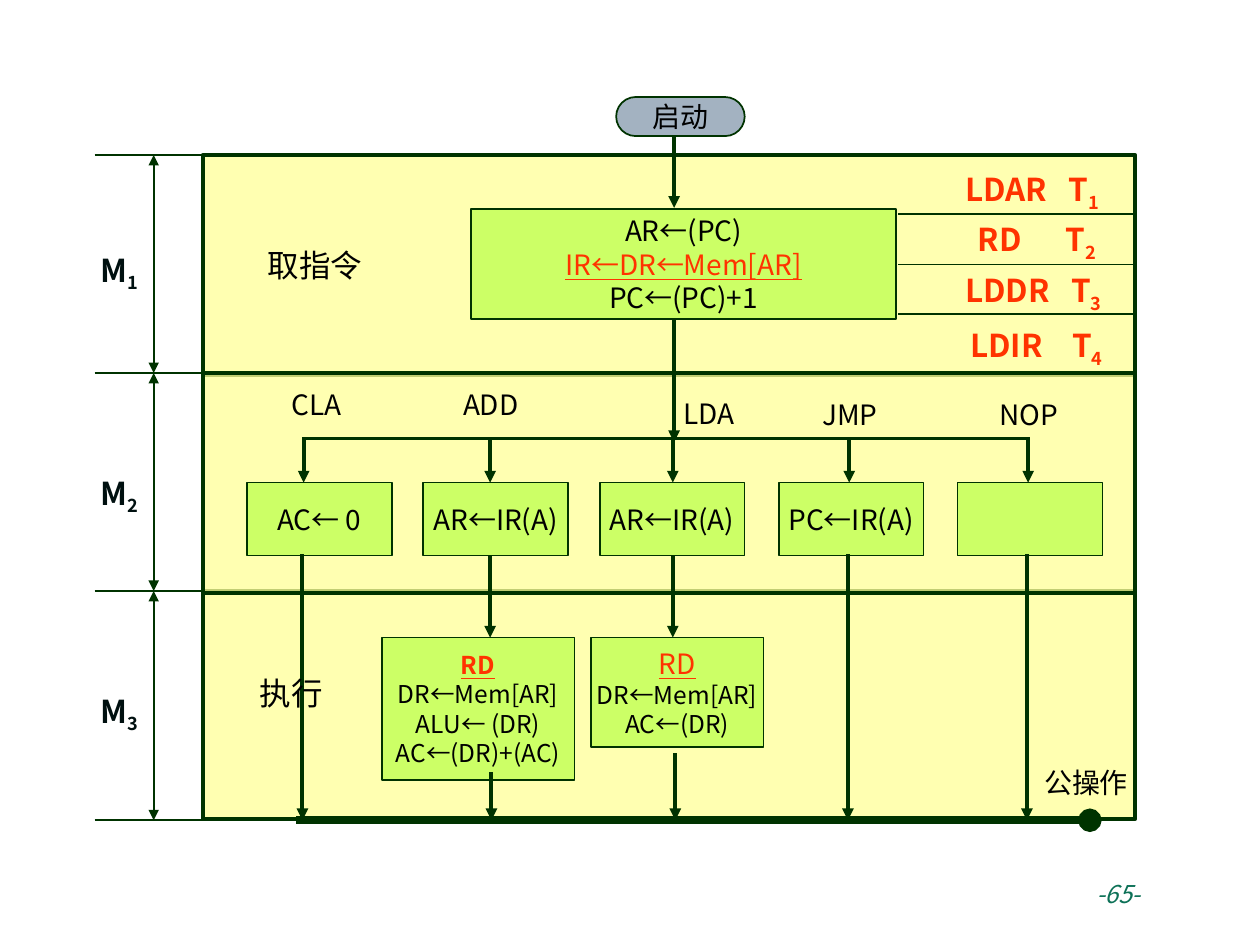
from dataclasses import dataclass

from lxml.etree import SubElement
from pptx import Presentation
from pptx.dml.color import RGBColor
from pptx.enum.shapes import MSO_CONNECTOR as Connector, MSO_SHAPE as Shape
from pptx.enum.text import MSO_ANCHOR as Anchor, MSO_AUTO_SIZE as AutoSize, PP_ALIGN as Align
from pptx.oxml.ns import qn
from pptx.util import Inches, Pt


@dataclass(frozen=True)
class Theme:
    """Colours, type sizes and line widths of the flowchart."""
    font: str = "Noto Sans CJK SC"
    ink: str = "000000"
    cycle: str = "001010"
    signal: str = "FF3300"
    page: str = "0D7157"
    line: str = "003300"
    panel: str = "FFFF99"
    box: str = "CCFF66"
    start: str = "A3B2C1"
    small: int = 14
    normal: int = 16
    large: int = 18
    thin: float = 1
    medium: float = 2.25
    thick: float = 4.5


class FlowSlide:
    """Draws flowchart elements on one slide in one style."""

    def __init__(self, slide, theme):
        self.slide = slide
        self.theme = theme

    def style(self, font, size, color, bold=False, underline=False, italic=False):
        """Set the typeface, size, colour and emphasis of a font."""
        font.name = self.theme.font
        font.size = Pt(size)
        font.color.rgb = RGBColor.from_string(color)
        font.bold, font.underline, font.italic = bold, underline, italic

    def shape(self, kind, left, top, width, height, fill, line_width):
        """Add a filled and outlined preset shape."""
        shape = self.slide.shapes.add_shape(
            kind, Inches(left), Inches(top), Inches(width), Inches(height))
        shape.shadow.inherit = False
        shape.fill.solid()
        shape.fill.fore_color.rgb = RGBColor.from_string(fill)
        shape.line.color.rgb = RGBColor.from_string(self.theme.line)
        shape.line.width = Pt(line_width)
        return shape

    def panel(self, top, height):
        """Add a translucent panel for one machine cycle."""
        shape = self.shape(Shape.RECTANGLE, 1.61, top, 7.4, height,
                           self.theme.panel, self.theme.medium)
        color = shape.fill._xPr.find(".//" + qn("a:srgbClr"))
        SubElement(color, qn("a:alpha"), val="76000")

    def box(self, left, top, width, height, *lines, kind=Shape.RECTANGLE, fill=None):
        """Add a box with centred lines of (text, size, color, emphasis)."""
        shape = self.shape(kind, left, top, width, height,
                           fill or self.theme.box, self.theme.thin)
        frame = shape.text_frame
        frame.word_wrap = False
        frame.vertical_anchor = Anchor.MIDDLE
        for index, (text, size, color, emphasis) in enumerate(lines):
            paragraph = frame.add_paragraph() if index else frame.paragraphs[0]
            paragraph.text = text
            paragraph.alignment = Align.CENTER
            self.style(paragraph.font, size, color, **emphasis)
        return shape

    def text(self, left, top, width, height, text, size, color=None, align=Align.CENTER,
             subscript="", wrap=True, inset=0.1, tab=None, **emphasis):
        """Add a one-line text box with an optional subscript and tab stop."""
        box = self.slide.shapes.add_textbox(
            Inches(left), Inches(top), Inches(width), Inches(height))
        frame = box.text_frame
        frame.word_wrap = wrap
        frame.auto_size = AutoSize.SHAPE_TO_FIT_TEXT
        frame.margin_left = Inches(inset)
        paragraph = frame.paragraphs[0]
        paragraph.alignment = align
        if tab:
            stops = SubElement(paragraph._p.get_or_add_pPr(), qn("a:tabLst"))
            SubElement(stops, qn("a:tab"), pos=str(Inches(tab)), algn="l")
        self.style(paragraph.font, size, color or self.theme.ink, **emphasis)
        paragraph.add_run().text = text
        if subscript:
            run = paragraph.add_run()
            run.text = subscript
            run._r.get_or_add_rPr().set("baseline", "-25000")

    def line(self, x1, y1, x2, y2, width=None, head=None, tail=None):
        """Add a straight line with optional ends."""
        line = self.slide.shapes.add_connector(
            Connector.STRAIGHT, Inches(x1), Inches(y1), Inches(x2), Inches(y2))
        line.line.color.rgb = RGBColor.from_string(self.theme.line)
        line.line.width = Pt(width or self.theme.medium)
        outline = line.line._get_or_add_ln()
        for tag, end in (("a:headEnd", head), ("a:tailEnd", tail)):
            if end:
                SubElement(outline, qn(tag), type=end)
        SubElement(line._element.spPr, qn("a:effectLst"))

    def arrow(self, x, top, bottom):
        """Add a downward arrow."""
        self.line(x, top, x, bottom, tail="triangle")


def main():
    """Build the instruction cycle flowchart."""
    presentation = Presentation()
    presentation.slide_width, presentation.slide_height = Inches(10), Inches(7.5)
    theme = Theme()
    flow = FlowSlide(presentation.slides.add_slide(presentation.slide_layouts[6]), theme)
    underlined = {"underline": True}

    for top, height in ((1.23, 1.75), (4.69, 1.81), (2.96, 1.75)):
        flow.panel(top, height)

    flow.line(2.4, 3.48, 8.15, 3.48)
    branches = (
        ("CLA", 2.13, 3.03, 1.96, 2.41, "AC← 0"),
        ("ADD", 3.51, 3.03, 3.36, 3.89, "AR←IR(A)"),
        ("LDA", 5.24, 3.1, 4.76, 5.34, "AR←IR(A)"),
        ("JMP", 6.36, 3.11, 6.18, 6.74, "PC←IR(A)"),
        ("NOP", 7.78, 3.11, 7.6, 8.16, ""),
    )
    for name, label_left, label_top, box_left, arrow_x, operation in branches:
        lines = [(operation, theme.normal, theme.ink, {})] if operation else []
        flow.box(box_left, 3.83, 1.15, 0.58, *lines)
        flow.arrow(arrow_x, 3.47, 3.83)
        flow.text(label_left, label_top, 0.77, 0.37, name, theme.normal)

    flow.box(3.03, 5.06, 1.53, 1.13,
             ("RD", theme.small, theme.signal, {"bold": True, **underlined}),
             *((text, theme.small, theme.ink, {})
               for text in ("DR←Mem[AR]", "ALU← (DR)", "AC←(DR)+(AC)")))
    flow.box(4.69, 5.06, 1.37, 0.87,
             ("RD", theme.normal, theme.signal, underlined),
             *((text, theme.small, theme.ink, {}) for text in ("DR←Mem[AR]", "AC←(DR)")))
    for x in (3.89, 5.34):
        flow.arrow(x, 4.41, 5.06)

    flow.line(2.35, 6.51, 8.65, 6.51, theme.thick, tail="oval")
    for x, top in ((2.4, 4.4), (6.73, 4.4), (8.15, 4.4), (3.9, 6.13), (5.36, 5.98)):
        flow.arrow(x, top, 6.51)
    flow.text(7.91, 6.03, 1.42, 0.37, "公操作", theme.normal)

    start = flow.box(4.89, 0.77, 1.02, 0.31, ("启动", theme.normal, theme.ink, {}),
                     kind=Shape.ROUNDED_RECTANGLE, fill=theme.start)
    start.adjustments[0] = 0.5
    flow.arrow(5.35, 2.51, 3.51)
    flow.arrow(5.35, 1.09, 1.65)

    bounds = (1.23, 2.96, 4.69, 6.51)
    for y in bounds:
        flow.line(0.75, y, 1.61, y, theme.thin)
    for top, bottom in zip(bounds, bounds[1:]):
        flow.line(1.22, top, 1.22, bottom, theme.thin, "triangle", "triangle")
    for number, top in enumerate((1.94, 3.71, 5.44), 1):
        flow.text(0.67, top, 0.56, 0.4, "M", theme.large, theme.cycle,
                  subscript=str(number), wrap=False, bold=True)

    for y in (1.7, 2.1, 2.49):
        flow.line(7.13, y, 9.02, y, theme.thin)
    signals = (("LDAR", 7.49, 1.3, 0.82), ("RD", 7.59, 1.7, 0.7),
               ("LDDR", 7.49, 2.1, 0.84), ("LDIR", 7.53, 2.54, 0.81))
    for number, (name, left, top, tab) in enumerate(signals, 1):
        flow.text(left, top, 1.39, 0.4, f"{name}\tT", theme.large, theme.signal, Align.LEFT,
                  str(number), inset=0.17, tab=tab, bold=True)

    flow.box(3.74, 1.66, 3.37, 0.87,
             ("AR←(PC)", theme.normal, theme.ink, {}),
             ("IR←DR←Mem[AR]", theme.normal, theme.signal, underlined),
             ("PC←(PC)+1", theme.normal, theme.ink, {}))
    flow.text(8.54, 6.93, 1.11, 0.52, "-65-", theme.small, theme.page, Align.LEFT,
              inset=0.16, italic=True)
    for text, left, top in (("取指令", 1.91, 1.9), ("执行", 1.72, 5.3)):
        flow.text(left, top, 1.18, 0.4, text, theme.large)

    presentation.save("out.pptx")


if __name__ == "__main__":
    main()
